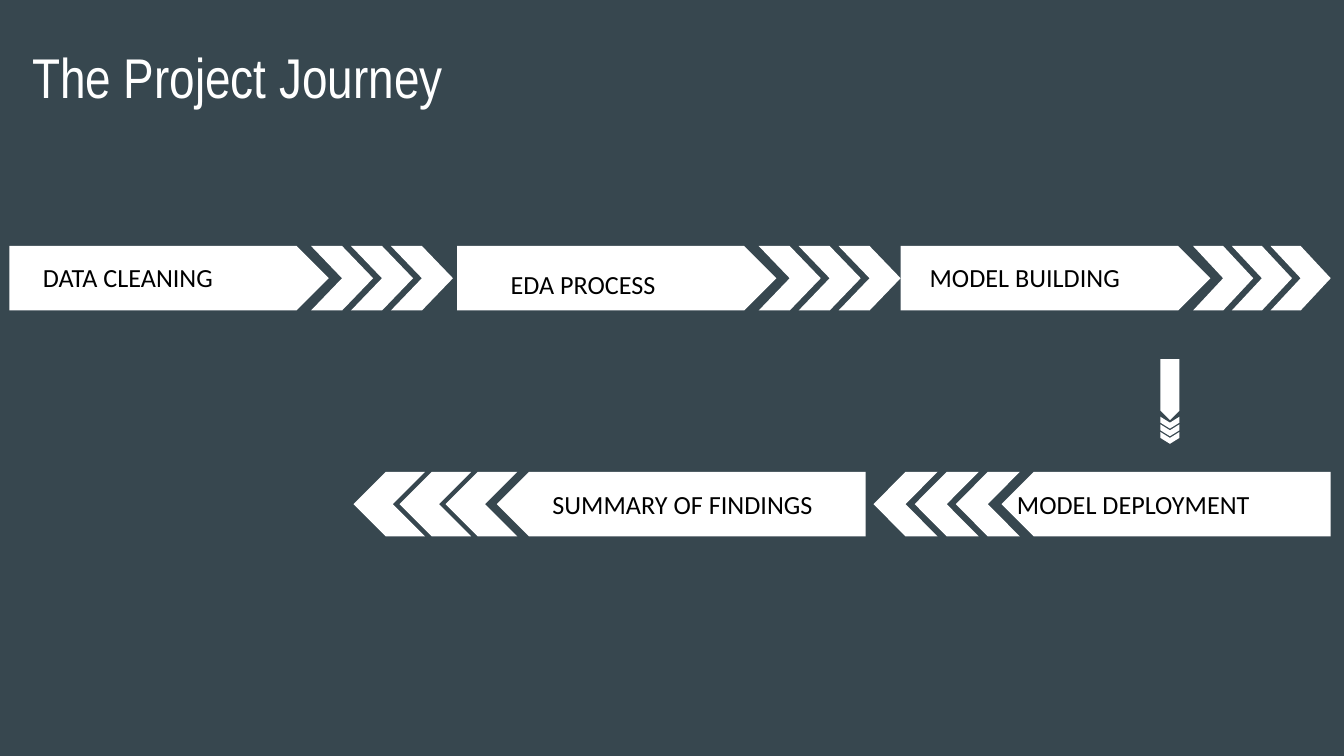
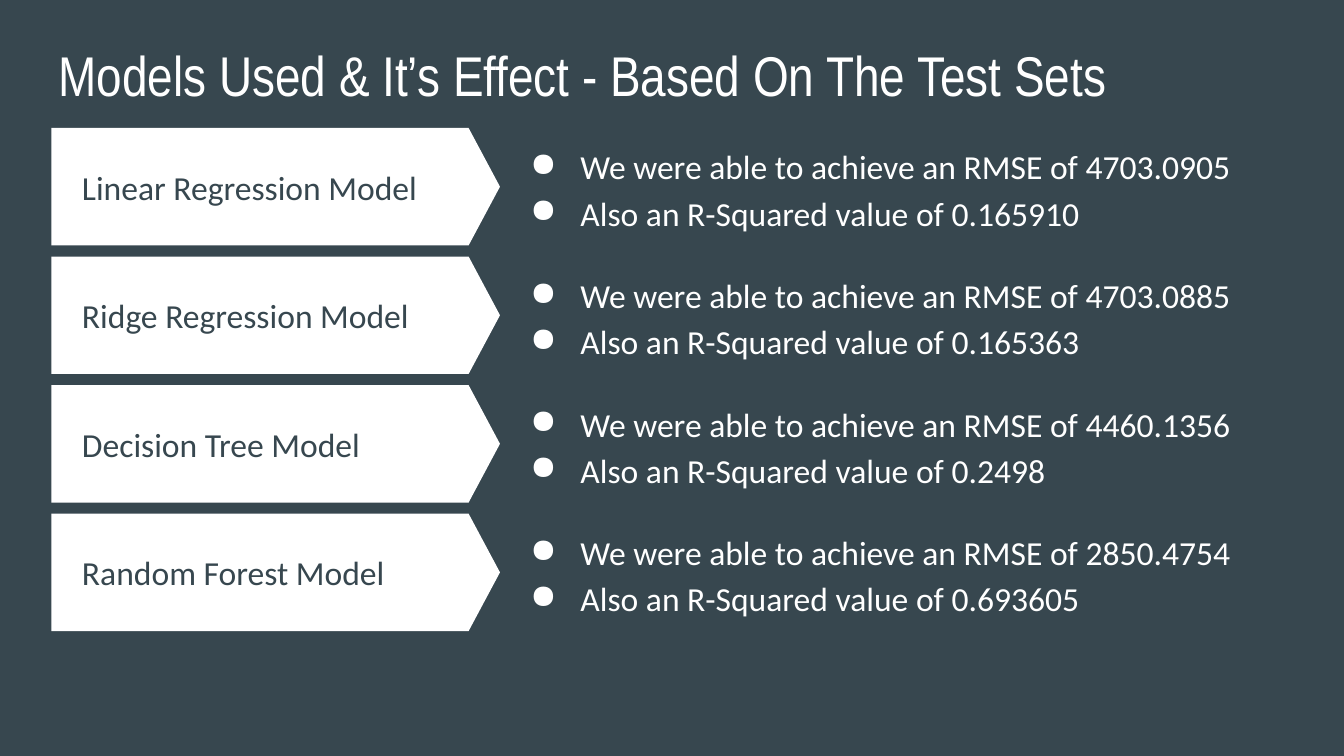
from lxml import etree
from pptx import Presentation
from pptx.dml.color import RGBColor
from pptx.enum.shapes import MSO_SHAPE as SHAPE
from pptx.enum.text import MSO_ANCHOR as ANCHOR, MSO_AUTO_SIZE as AUTO
from pptx.oxml.ns import qn
from pptx.util import Cm, Pt

SLATE, WHITE, BLACK = "37474F", "FFFFFF", "000000"

# Text formats: font values by attribute name
TITLE = {"name": "Arial Narrow", "size": Pt(30), "color": WHITE}
STEP = {"name": "Calibri", "size": Pt(14), "color": BLACK}
MODEL = {"name": "Calibri", "size": Pt(18), "color": SLATE}
RESULT = {**MODEL, "color": WHITE}

# Arrow parts as shares of the arrow's length
PLATE, CHEVRON, CHEVRON_STEP = 0.72, 0.14, 0.09


def rgb(value):
    return RGBColor.from_string(value)


class Deck:
    def __init__(self):
        self.prs = Presentation()
        self.prs.slide_width, self.prs.slide_height = Cm(25.4), Cm(14.29)
        self.s = None

    def slide(self, title, x, y, w):
        self.s = self.prs.slides.add_slide(self.prs.slide_layouts[6])
        fill = self.s.background.fill
        fill.solid()
        fill.fore_color.rgb = rgb(SLATE)
        self.text([title], x, y, w, 1.6, TITLE)

    def text(self, lines, x, y, w, h, fmt, anchor=ANCHOR.TOP,
             auto=AUTO.NONE, bullets=False):
        tf = self.s.shapes.add_textbox(Cm(x), Cm(y), Cm(w), Cm(h)).text_frame
        frame = {"word_wrap": True, "auto_size": auto, "vertical_anchor": anchor}
        for side in ("left", "top", "right", "bottom"):
            frame[f"margin_{side}"] = Cm(0.25)
        for key, value in frame.items():
            setattr(tf, key, value)
        for i, line in enumerate(lines):
            p = tf.add_paragraph() if i else tf.paragraphs[0]
            r = p.add_run()
            r.text = line
            for key, value in fmt.items():
                if key == "color":
                    r.font.color.rgb = rgb(value)
                else:
                    setattr(r.font, key, value)
            if bullets:
                self.bullet(p, fmt["color"])

    def bullet(self, p, color):
        p.line_spacing = 1.15
        pPr = p._p.get_or_add_pPr()
        pPr.set("marL", str(Cm(1.27)))
        pPr.set("indent", str(-Cm(0.95)))
        clr = etree.SubElement(pPr, qn("a:buClr"))
        etree.SubElement(clr, qn("a:srgbClr")).set("val", color)
        etree.SubElement(pPr, qn("a:buChar")).set("char", "●")

    def shape(self, kind, x, y, w, h, adj=0.5, shapes=None):
        shapes = shapes or self.s.shapes
        sp = shapes.add_shape(kind, Cm(x), Cm(y), Cm(w), Cm(h))
        sp.shadow.inherit = False
        sp.adjustments[0] = adj
        sp.fill.solid()
        sp.fill.fore_color.rgb = rgb(WHITE)
        sp.line.fill.background()
        return sp

    def arrow(self, x, y, length, thick, heading):
        """Draw a plate followed by three chevrons, ending at the full length."""
        shapes = self.s.shapes.add_group_shape().shapes
        parts = [(SHAPE.PENTAGON, 0, PLATE)]
        parts += [(SHAPE.CHEVRON, 1 - CHEVRON - i * CHEVRON_STEP, CHEVRON)
                  for i in (2, 1, 0)]
        for kind, start, share in parts:
            offset, w = start * length, share * length
            left, top = x + offset, y
            if heading == "left":
                left = x + length - offset - w
            elif heading == "down":
                left, top = x + (thick - w) / 2, y + offset + (w - thick) / 2
            sp = self.shape(kind, left, top, w, thick, shapes=shapes)
            if heading == "left":
                sp._element.spPr.find(qn("a:xfrm")).set("flipH", "1")
            elif heading == "down":
                sp.rotation = 90


def journey(deck):
    deck.slide("The Project Journey", 0.36, 0.56, 8.99)

    # Steps: arrow left, top, length, heading; label, its left, top, width
    steps = [
        (0.18, 4.65, 8.38, "right", "DATA CLEANING", 0.56, 4.7, 6.58),
        (8.64, 4.65, 8.38, "right", "EDA PROCESS", 9.4, 4.83, 4.47),
        (17.02, 4.65, 8.13, "right", "MODEL BUILDING", 17.32, 4.7, 5.79),
        (16.51, 8.92, 8.64, "left", "MODEL DEPLOYMENT", 18.97, 8.99, 6.17),
        (6.68, 8.92, 9.68, "left", "SUMMARY OF FINDINGS", 10.19, 8.99, 6.58),
    ]
    for x, y, length, heading, label, tx, ty, tw in steps:
        deck.arrow(x, y, length, 1.22, heading)
        deck.text([label], tx, ty, tw, 1.12, STEP, auto=AUTO.SHAPE_TO_FIT_TEXT)

    # Link between the two rows
    deck.arrow(21.93, 6.79, 1.6, 0.36, "down")


def models(deck):
    deck.slide("Models Used & It’s Effect - Based On The Test Sets",
               0.86, 0.51, 23.67)

    # Model, RMSE, R-squared
    results = [
        ("Linear Regression Model", "4703.0905", "0.165910"),
        ("Ridge Regression Model", "4703.0885", "0.165363"),
        ("Decision Tree Model", "4460.1356", "0.2498"),
        ("Random Forest Model", "2850.4754", "0.693605"),
    ]
    top, pitch, h = 2.42, 2.43, 2.22
    for i, (model, rmse, r2) in enumerate(results):
        y = top + i * pitch
        deck.shape(SHAPE.PENTAGON, 0.97, y, 8.48, h, adj=0.267)
        deck.text([model], 1.3, y, 7.42, h, MODEL, ANCHOR.MIDDLE)
        deck.text([f"We were able to achieve an RMSE of {rmse}",
                   f"Also an R-Squared value of {r2}"],
                  9.45, y, 15.27, h, RESULT, ANCHOR.MIDDLE, bullets=True)


def main():
    deck = Deck()
    journey(deck)
    models(deck)
    deck.prs.save("out.pptx")


if __name__ == "__main__":
    main()
